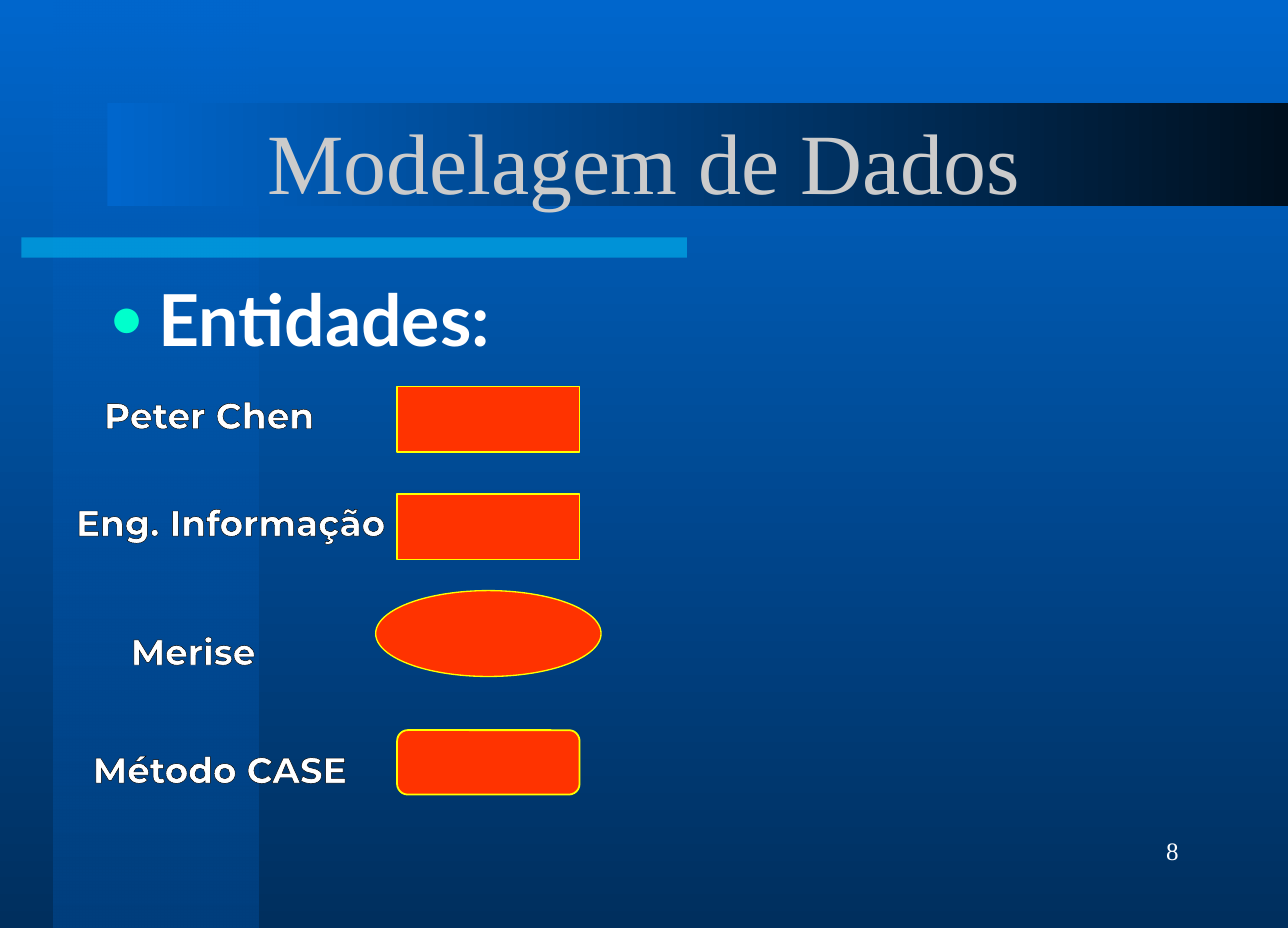
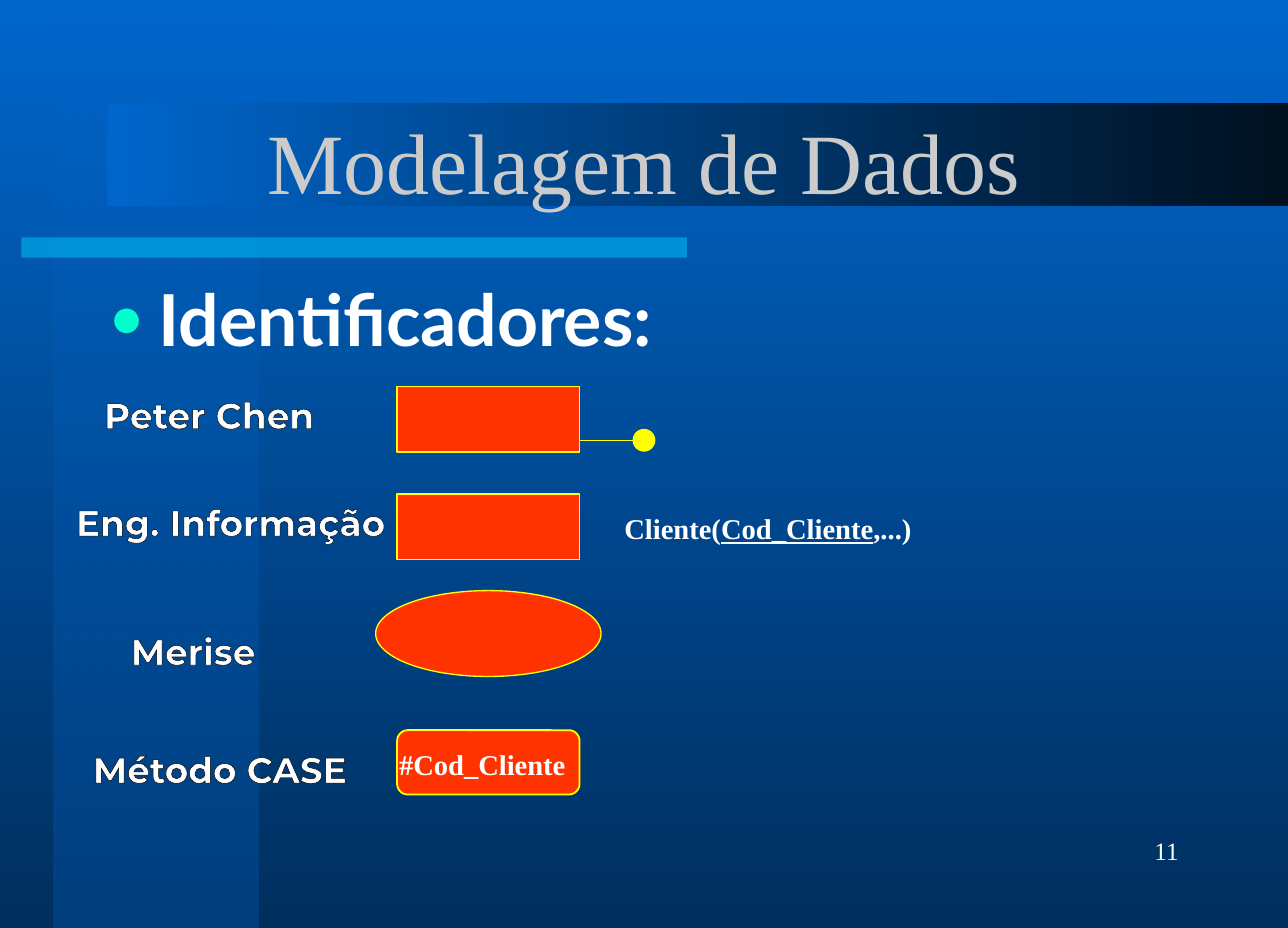
from collections import namedtuple

from lxml.etree import Element, SubElement
from pptx import Presentation
from pptx.dml.color import RGBColor
from pptx.enum.shapes import MSO_CONNECTOR as Connector, MSO_SHAPE as Preset
from pptx.enum.text import MSO_ANCHOR as Anchor, MSO_AUTO_SIZE as AutoSize, PP_ALIGN as Align
from pptx.oxml.ns import qn
from pptx.util import Inches, Pt

Box = namedtuple("Box", "column row columns rows")

SLIDE_WIDTH = Pt(720)
SLIDE_HEIGHT = Pt(518.5)
CELLS_PER_INCH = 12
SLIDE = Box(0, 0, 120, 86.42)
TITLE = Box(9, 7.7, 102, 14.4)
HEADING = Box(9, 25, 102, 10)
NUMBER = Box(86, 74.9, 25, 8.6)
DIAGRAM = Box(11, 36, 80, 38)

COLORS = {
    "sky": "0066CC",
    "night": "002F5E",
    "column": "003F7E",
    "black_blue": "00101F",
    "cyan": "00CCFF",
    "title": "CBCBCB",
    "text": "FFFFFF",
    "bullet": "00FFCC",
    "entity": "FF3300",
    "key": "FFFF00",
    "outline": "000000",
}

SERIF = "Times New Roman"
FONTS = {
    "title": {"name": SERIF, "size": Pt(48), "bold": False},
    "heading": {"name": "Lato", "size": Pt(40), "bold": True},
    "label": {"name": "Montserrat", "size": Pt(20), "bold": True},
    "note": {"name": SERIF, "size": Pt(16), "bold": True},
    "number": {"name": SERIF, "size": Pt(14), "bold": False},
}

FIGURES = [
    (Preset.RECTANGLE, Box(26, 10, 17, 6.1), 1),
    (Preset.FLOWCHART_ALTERNATE_PROCESS, Box(26, 32, 17, 6), 1),
    (Preset.RECTANGLE, Box(26, 0, 17, 6.1), 1),
    (Preset.OVAL, Box(24, 19, 21, 8), 0.75),
]

LABELS = [
    ("Peter Chen", Box(0, 0, 17, 4)),
    ("Eng. Informação", Box(0, 10, 21, 6)),
    ("Merise", Box(0, 22, 14, 3)),
    ("Método CASE", Box(0, 33, 19, 4)),
]


def cells(count):
    return Inches(count / CELLS_PER_INCH)


def emus(box):
    return [cells(value) for value in box]


def within(parent, box):
    return box._replace(column=parent.column + box.column, row=parent.row + box.row)


def rgb(name):
    return RGBColor.from_string(COLORS[name])


def apply(target, values):
    for name, value in values.items():
        setattr(target, name, value)


def place(shape, box):
    apply(shape, dict(zip(("left", "top", "width", "height"), emus(box))))


def paint_gradient(fill, start, end, angle):
    fill.gradient()
    fill.gradient_angle = angle
    for stop, color in zip(fill.gradient_stops, (start, end)):
        stop.color.rgb = rgb(color)


def make_translucent(shape, percent):
    color = next(shape.element.iter(qn("a:srgbClr")))
    SubElement(color, qn("a:alpha"), val=str(percent * 1000))


def add_figure(slide, preset, box, fill=None, line_width=None):
    shape = slide.shapes.add_shape(preset, *emus(box))
    shape.shadow.inherit = False
    if fill:
        shape.fill.solid()
        shape.fill.fore_color.rgb = rgb(fill)
    else:
        shape.fill.background()
    if line_width:
        shape.line.color.rgb = rgb("key")
        shape.line.width = Pt(line_width)
    else:
        shape.line.fill.background()
    return shape


def write(paragraph, text, style, color="text", **extra):
    run = paragraph.add_run()
    run.text = text
    apply(run.font, {**FONTS[style], **extra})
    run.font.color.rgb = rgb(color)
    return run


def start_text(shape, align=Align.LEFT, **frame_format):
    apply(shape.text_frame, frame_format)
    paragraph = shape.text_frame.paragraphs[0]
    paragraph.alignment = align
    return paragraph


def build_backdrop(layout, slide, box):
    paint_gradient(layout.background.fill, "sky", "night", 270)
    for placeholder in list(layout.placeholders)[2:]:
        layout.shapes.element.remove(placeholder.element)
    column, rule, band = [
        add_figure(slide, Preset.RECTANGLE, within(box, part), "cyan")
        for part in (
            Box(5, 0, 19.05, box.rows),
            Box(2, 22.1, 62, 1.9),
            Box(10, 9.6, 110, 9.6),
        )
    ]
    paint_gradient(column.fill, "sky", "column", 270)
    paint_gradient(band.fill, "sky", "black_blue", 0)
    for shape in (column, rule):
        make_translucent(shape, 50)
    for shape in (column, rule, band):
        layout.shapes.element.append(shape.element)


def build_title(slide, box):
    title = slide.shapes.title
    place(title, box)
    paragraph = start_text(
        title, Align.CENTER, vertical_anchor=Anchor.MIDDLE, auto_size=AutoSize.NONE
    )
    write(paragraph, "Modelagem de Dados", "title", "title")


def build_heading(slide, box, text):
    body = slide.placeholders[1]
    place(body, box)
    paragraph = start_text(body, vertical_anchor=Anchor.TOP, auto_size=AutoSize.NONE)
    properties = paragraph._p.get_or_add_pPr()
    for name, inches in (("marL", 0.38), ("indent", -0.38)):
        properties.set(name, str(Inches(inches)))
    bullet_color = SubElement(properties, qn("a:buClr"))
    SubElement(bullet_color, qn("a:srgbClr"), val=COLORS["bullet"])
    SubElement(properties, qn("a:buSzPct"), val="80000")
    SubElement(properties, qn("a:buChar"), char="●")
    paragraph.space_before = Pt(0)
    write(paragraph, text, "heading")


def build_number(slide, box, number):
    shape = slide.shapes.add_textbox(*emus(box))
    paragraph = start_text(
        shape,
        Align.RIGHT,
        word_wrap=False,
        auto_size=AutoSize.NONE,
        vertical_anchor=Anchor.MIDDLE,
    )
    write(paragraph, str(number), "number")


def outline_run(run):
    line = Element(qn("a:ln"), w=str(Pt(0.75)))
    fill = SubElement(line, qn("a:solidFill"))
    SubElement(fill, qn("a:srgbClr"), val=COLORS["outline"])
    run._r.get_or_add_rPr().insert(0, line)


def build_diagram(slide, box):
    for preset, part, line_width in FIGURES:
        add_figure(slide, preset, within(box, part), "entity", line_width)
    for text, part in LABELS:
        label = add_figure(slide, Preset.RECTANGLE, within(box, part))
        paragraph = start_text(
            label,
            Align.CENTER,
            word_wrap=False,
            auto_size=AutoSize.NONE,
            vertical_anchor=Anchor.TOP,
        )
        outline_run(write(paragraph, text, "label"))


def build_note(slide, box, pieces):
    shape = slide.shapes.add_textbox(*emus(box))
    paragraph = start_text(shape, word_wrap=True, auto_size=AutoSize.SHAPE_TO_FIT_TEXT)
    for text, underlined in pieces:
        write(paragraph, text, "note", underline=underlined)


def build_identifiers(slide, box):
    relation = [("Cliente(", False), ("Cod_Cliente", True), (",...)", False)]
    build_note(slide, within(box, Box(46, 11, 36, 4.4)), relation)
    build_note(slide, within(box, Box(25, 33, 18, 4.4)), [("#Cod_Cliente", False)])

    knob = within(box, Box(48, 4, 2, 2))
    middle = cells(knob.row + knob.rows / 2)
    stem = slide.shapes.add_connector(
        Connector.STRAIGHT, cells(knob.column - 5), middle, cells(knob.column), middle
    )
    stem.line.color.rgb = rgb("key")
    stem.line.width = Pt(0.75)
    SubElement(stem.element.spPr, qn("a:effectLst"))
    add_figure(slide, Preset.FLOWCHART_CONNECTOR, knob, "key", 0.75)


def build_slide(presentation, layout, heading, number):
    slide = presentation.slides.add_slide(layout)
    build_number(slide, NUMBER, number)
    build_title(slide, TITLE)
    build_heading(slide, HEADING, heading)
    build_diagram(slide, DIAGRAM)
    return slide


def main():
    presentation = Presentation()
    apply(presentation, {"slide_width": SLIDE_WIDTH, "slide_height": SLIDE_HEIGHT})
    layout = presentation.slide_layouts[1]
    entities = build_slide(presentation, layout, "Entidades:", 8)
    build_backdrop(layout, entities, SLIDE)
    identifiers = build_slide(presentation, layout, "Identificadores:", 11)
    build_identifiers(identifiers, DIAGRAM)
    presentation.save("out.pptx")


if __name__ == "__main__":
    main()
